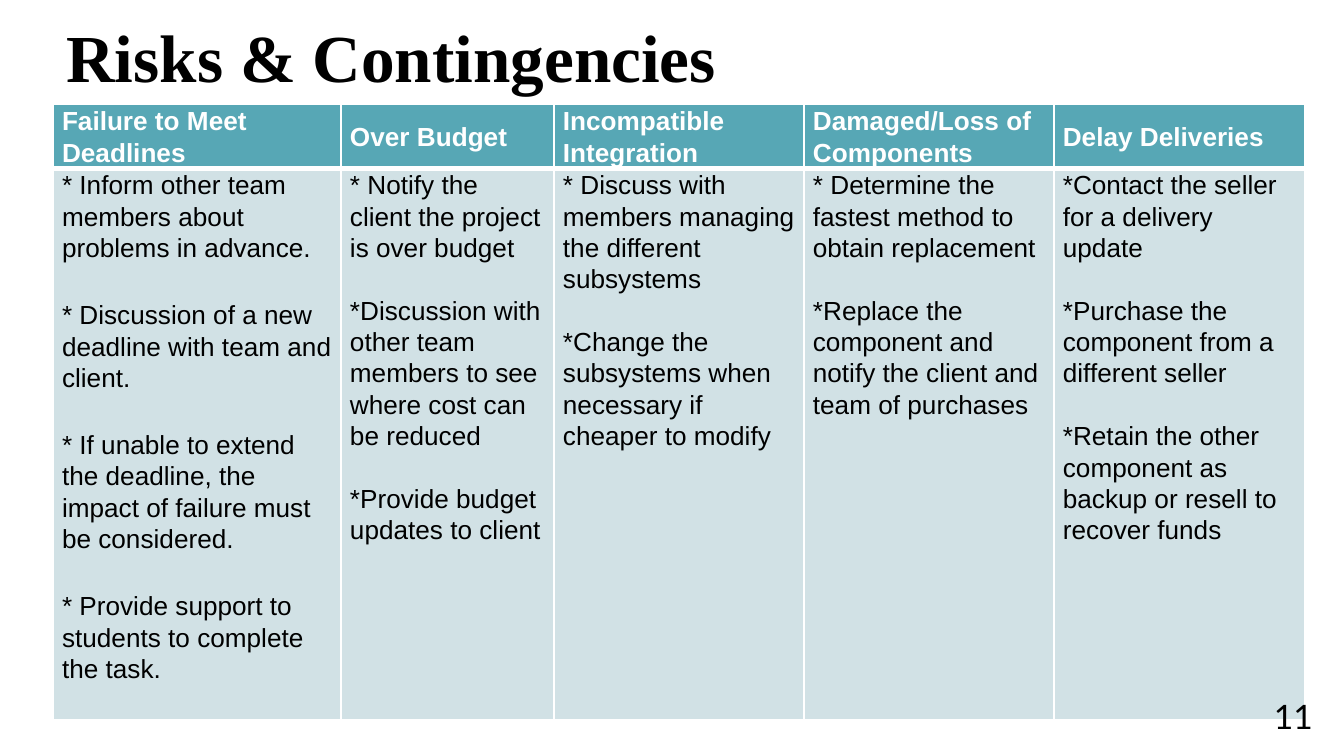
"""Build the risks and contingencies slide."""
from dataclasses import dataclass

from lxml import etree
from pptx import Presentation
from pptx import util as u
from pptx.dml import color
from pptx.enum import text as t
from pptx.oxml import ns

SCALE = 914400 / 134.4
HUES = {"ink": "000000", "white": "FFFFFF", "head": "57A7B5", "body": "D1E1E5"}
ROWS = (65, 551)
CELL = {"margin_left": 9, "margin_right": 9, "margin_top": 0, "margin_bottom": 0}


@dataclass
class Risk:
    """One column of the table."""
    width: int
    name: str
    steps: tuple[str, ...]
    gap: float = 16.8


@dataclass
class Style:
    """Font values of a text."""
    name: str
    size: int
    hue: str
    bold: bool = False


TITLE = Style("Times New Roman", 36, "ink", True)
HEAD = Style("Arial", 14, "white", True)
BODY = Style("Arial", 14, "ink")
PAGE = Style("Lato", 18, "ink")

RISKS = (
    Risk(288, "Failure to Meet Deadlines", (
        "* Inform other team members about problems in advance.",
        "* Discussion of a new deadline with team and client.",
        "* If unable to extend the deadline, the impact of failure must be considered.",
        "* Provide support to students to complete the task."), 19.2),
    Risk(213, "Over Budget", (
        "* Notify the client the project is over budget",
        "*Discussion with other team members to see where cost can be reduced",
        "*Provide budget updates to client")),
    Risk(250, "Incompatible Integration", (
        "* Discuss with members managing the different subsystems",
        "*Change the subsystems when necessary if cheaper to modify")),
    Risk(250, "Damaged/Loss of Components", (
        "* Determine the fastest method to obtain replacement",
        "*Replace the component and notify the client and team of purchases")),
    Risk(251, "Delay Deliveries", (
        "*Contact the seller for a delivery update",
        "*Purchase the component from a different seller",
        "*Retain the other component as backup or resell to recover funds")),
)


def px(n: int) -> u.Emu:
    """Turn px into EMU."""
    return u.Emu(round(n * SCALE))


def tint(hue: str) -> color.RGBColor:
    """Look up a colour."""
    return color.RGBColor.from_string(HUES[hue])


def put(item, values: dict) -> None:
    """Set each named value on an object."""
    for key, val in values.items():
        setattr(item, key, val)


def write(frame, lines: tuple[str, ...], style: Style, form: dict, gap: float = 0) -> None:
    """Write one paragraph per line, with a gap between them."""
    for i, line in enumerate(lines):
        para = frame.add_paragraph() if i else frame.paragraphs[0]
        put(para, form)
        para.space_before = u.Pt(gap if i else 0)
        run = para.add_run()
        run.text = line
        put(run.font, {"name": style.name, "size": u.Pt(style.size), "bold": style.bold})
        run.font.color.rgb = tint(style.hue)


def edge(cell, sides: dict[str, int]) -> None:
    """Draw white cell borders, with widths in points."""
    props = cell._tc.get_or_add_tcPr()
    for side, width in sides.items():
        line = etree.SubElement(props, ns.qn(f"a:ln{side}"), w=str(u.Pt(width)))
        fill = etree.SubElement(line, ns.qn("a:solidFill"))
        etree.SubElement(fill, ns.qn("a:srgbClr"), val=HUES["white"])


def draw_cell(cell, lines: tuple[str, ...], style: Style, hue: str,
              anchor: t.MSO_ANCHOR, sides: dict[str, int], gap: float = 0) -> None:
    """Fill, border and write one cell."""
    put(cell, {key: px(val) for key, val in CELL.items()})
    cell.vertical_anchor = anchor
    edge(cell, sides)
    cell.fill.solid()
    cell.fill.fore_color.rgb = tint(hue)
    write(cell.text_frame, lines, style, {"line_spacing": 1.07}, gap)


def draw_grid(slide, left: int, top: int) -> None:
    """Draw the table of risks."""
    width = sum(risk.width for risk in RISKS)
    grid = slide.shapes.add_table(
        len(ROWS), len(RISKS), px(left), px(top), px(width), px(sum(ROWS))).table
    grid.horz_banding = False
    for row, high in zip(grid.rows, ROWS):
        row.height = px(high)
    for i, risk in enumerate(RISKS):
        grid.columns[i].width = px(risk.width)
        draw_cell(grid.cell(0, i), (risk.name,), HEAD, "head", t.MSO_ANCHOR.MIDDLE,
                  {"L": 1, "R": 1, "T": 1, "B": 3})
        draw_cell(grid.cell(1, i), risk.steps, BODY, "body", t.MSO_ANCHOR.TOP,
                  {"L": 1, "R": 1, "T": 3, "B": 1}, risk.gap)


def main() -> None:
    """Build and save the slide."""
    deck = Presentation()
    put(deck, {"slide_width": px(1344), "slide_height": px(756)})
    slide = deck.slides.add_slide(deck.slide_layouts[5])

    title = slide.shapes.title
    put(title, {"left": px(53), "top": px(8), "width": px(843), "height": px(95)})
    put(title.text_frame, {"auto_size": t.MSO_AUTO_SIZE.NONE, "word_wrap": True,
                           "vertical_anchor": t.MSO_ANCHOR.MIDDLE})
    write(title.text_frame, ("Risks & Contingencies",), TITLE,
          {"alignment": t.PP_ALIGN.LEFT})

    draw_grid(slide, 53, 104)

    page = slide.shapes.add_textbox(px(1246), px(687), px(80), px(58)).text_frame
    put(page, {"word_wrap": True, "vertical_anchor": t.MSO_ANCHOR.MIDDLE})
    put(page, {f"margin_{side}": px(13) for side in ("left", "right", "top", "bottom")})
    write(page, ("11",), PAGE, {"alignment": t.PP_ALIGN.RIGHT})

    deck.save("out.pptx")


if __name__ == "__main__":
    main()
